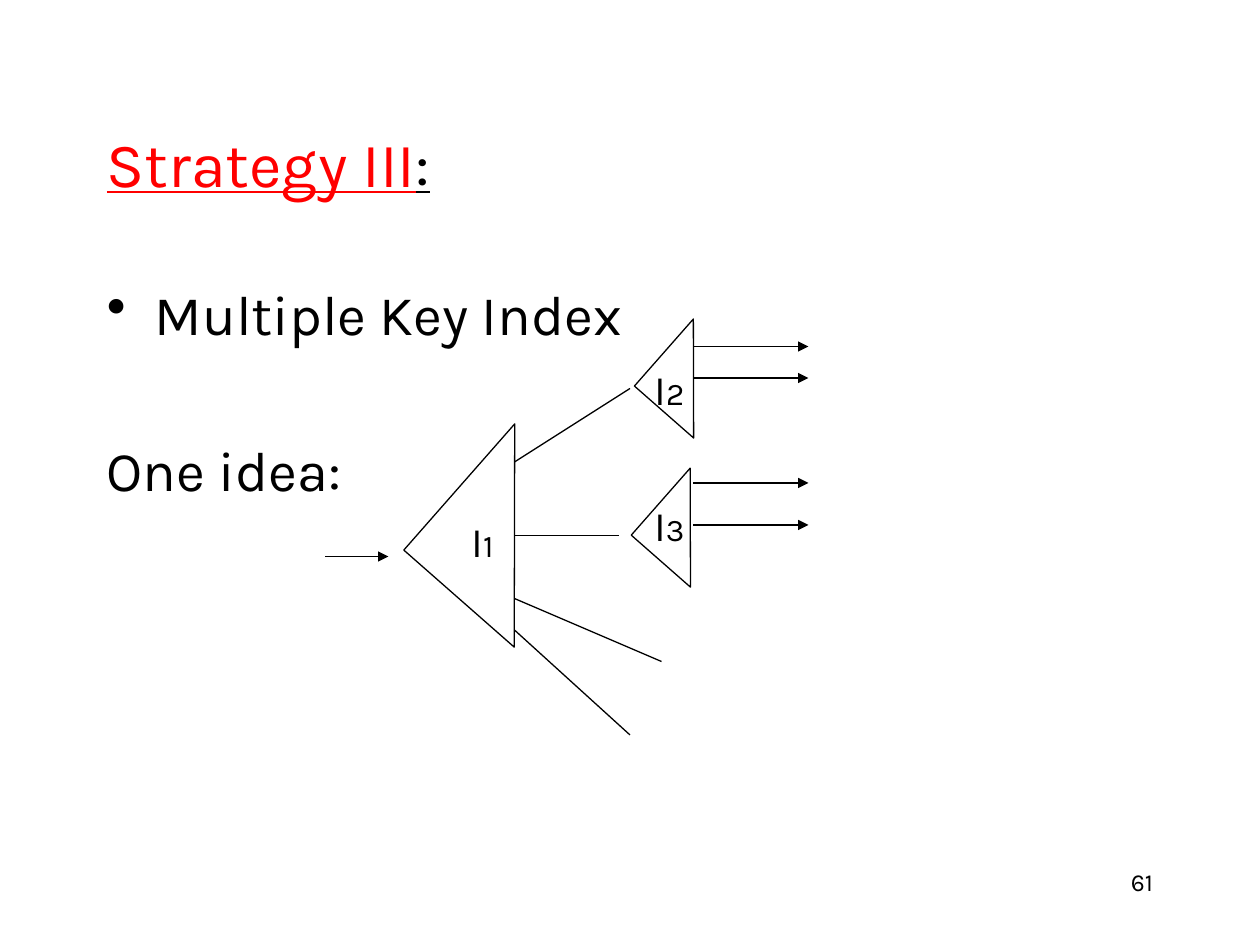
from dataclasses import dataclass

from lxml import etree
from pptx import Presentation
from pptx.dml.color import RGBColor
from pptx.enum.shapes import MSO_CONNECTOR, MSO_SHAPE
from pptx.enum.text import MSO_ANCHOR, MSO_AUTO_SIZE, PP_ALIGN
from pptx.oxml.ns import qn
from pptx.util import Inches, Pt

STRAIGHT = MSO_CONNECTOR.STRAIGHT
RIGHT_TRIANGLE = MSO_SHAPE.RIGHT_TRIANGLE
TOP, MIDDLE = MSO_ANCHOR.TOP, MSO_ANCHOR.MIDDLE
LEFT, CENTER, RIGHT = PP_ALIGN.LEFT, PP_ALIGN.CENTER, PP_ALIGN.RIGHT
FIT_SHAPE = MSO_AUTO_SIZE.SHAPE_TO_FIT_TEXT

# The slide is a grid of 120 columns by 90 rows
SLIDE_WIDTH, SLIDE_HEIGHT = Inches(10), Inches(7.5)
COLUMNS, ROWS = 120, 90


@dataclass(frozen=True)
class Theme:
    font: str = "Karla"
    ink: RGBColor = RGBColor(0, 0, 0)
    accent: RGBColor = RGBColor(255, 0, 0)
    paper: RGBColor = RGBColor(255, 255, 255)
    title: int = 36
    body: int = 32
    label: int = 24
    index: int = 18
    footer: int = 14
    line: float = 0.75
    triangle_turn: float = 41.3
    idea_gap: int = 51
    bullet_indent: float = 0.38


THEME = Theme()


def across(column):
    return round(SLIDE_WIDTH * column / COLUMNS)


def down(row):
    return round(SLIDE_HEIGHT * row / ROWS)


def box(column, row, width, height):
    return across(column), down(row), across(width), down(height)


def add_bullet(paragraph):
    properties = paragraph._p.get_or_add_pPr()
    indent = Inches(THEME.bullet_indent)
    properties.set("marL", str(indent))
    properties.set("indent", str(-indent))
    etree.SubElement(properties, qn("a:buChar")).set("char", "•")


def add_text(slide, area, paragraphs, size, align=LEFT, anchor=TOP, wrap=True,
             underline=None, gap=0, bullets=()):
    """Each paragraph is a list of (text, colour, size or None) runs."""
    shape = slide.shapes.add_textbox(*box(*area))
    frame = shape.text_frame
    frame.word_wrap = wrap
    frame.vertical_anchor = anchor
    if not wrap:
        frame.auto_size = FIT_SHAPE
    for number, runs in enumerate(paragraphs):
        paragraph = frame.add_paragraph() if number else frame.paragraphs[0]
        paragraph.alignment = align
        if number:
            paragraph.space_before = Pt(gap)
        if number in bullets:
            add_bullet(paragraph)
        for text, color, run_size in runs:
            run = paragraph.add_run()
            run.text = text
            run.font.name = THEME.font
            run.font.size = Pt(run_size or size)
            run.font.underline = underline
            run.font.color.rgb = color


def add_triangle(slide, area):
    shape = slide.shapes.add_shape(RIGHT_TRIANGLE, *box(*area))
    shape.rotation = THEME.triangle_turn
    shape.shadow.inherit = False
    shape.fill.solid()
    shape.fill.fore_color.rgb = THEME.paper
    shape.line.color.rgb = THEME.ink
    shape.line.width = Pt(THEME.line)


def add_line(slide, start, end, arrow=False):
    connector = slide.shapes.add_connector(
        STRAIGHT, across(start[0]), down(start[1]), across(end[0]), down(end[1]))
    connector.line.color.rgb = THEME.ink
    connector.line.width = Pt(THEME.line)
    if arrow:
        line = connector.line._get_or_add_ln()
        etree.SubElement(line, qn("a:tailEnd")).set("type", "triangle")
    etree.SubElement(connector._element.spPr, qn("a:effectLst"))


def add_wording(slide):
    ink = THEME.ink
    add_text(slide, (86, 82, 25, 6), [[("61", ink, None)]], THEME.footer, align=RIGHT)
    add_text(slide, (9, 26, 102, 54),
             [[("Multiple Key Index", ink, None)], [("One idea:", ink, None)]],
             THEME.body, gap=THEME.idea_gap, bullets=(0,))
    add_text(slide, (9, 8, 102, 15),
             [[("Strategy III", THEME.accent, None), (":", ink, None)]],
             THEME.title, anchor=MIDDLE, underline=True)


def add_index_tree(slide):
    # Index triangles: one root and two children of equal size
    child = (7.5, 8.5)
    for area in ((42, 43, 14, 16), (62.3, 31.8, *child), (62, 46, *child)):
        add_triangle(slide, area)

    # Index names
    for digit, column, row in (("1", 43.2, 48.5), ("2", 61, 34), ("3", 61, 47)):
        add_text(slide, (column, row, 5.5, 6),
                 [[("I", THEME.ink, None), (digit, THEME.ink, THEME.index)]],
                 THEME.label, align=CENTER, anchor=MIDDLE, wrap=False)

    # Entry arrow, then branches from the root's right side
    add_line(slide, (31, 53), (37, 53), arrow=True)
    root_side = 49
    for row, end in ((44, (60, 37)), (51, (59, 51)), (57, (63, 63)), (60, (60, 70))):
        add_line(slide, (root_side, row), end)

    # Arrows out of the child indexes
    for row in (33, 36, 46, 50):
        add_line(slide, (66, row), (77, row), arrow=True)


def main():
    presentation = Presentation()
    presentation.slide_width = SLIDE_WIDTH
    presentation.slide_height = SLIDE_HEIGHT
    slide = presentation.slides.add_slide(presentation.slide_layouts[6])
    add_wording(slide)
    add_index_tree(slide)
    presentation.save("out.pptx")


if __name__ == "__main__":
    main()
